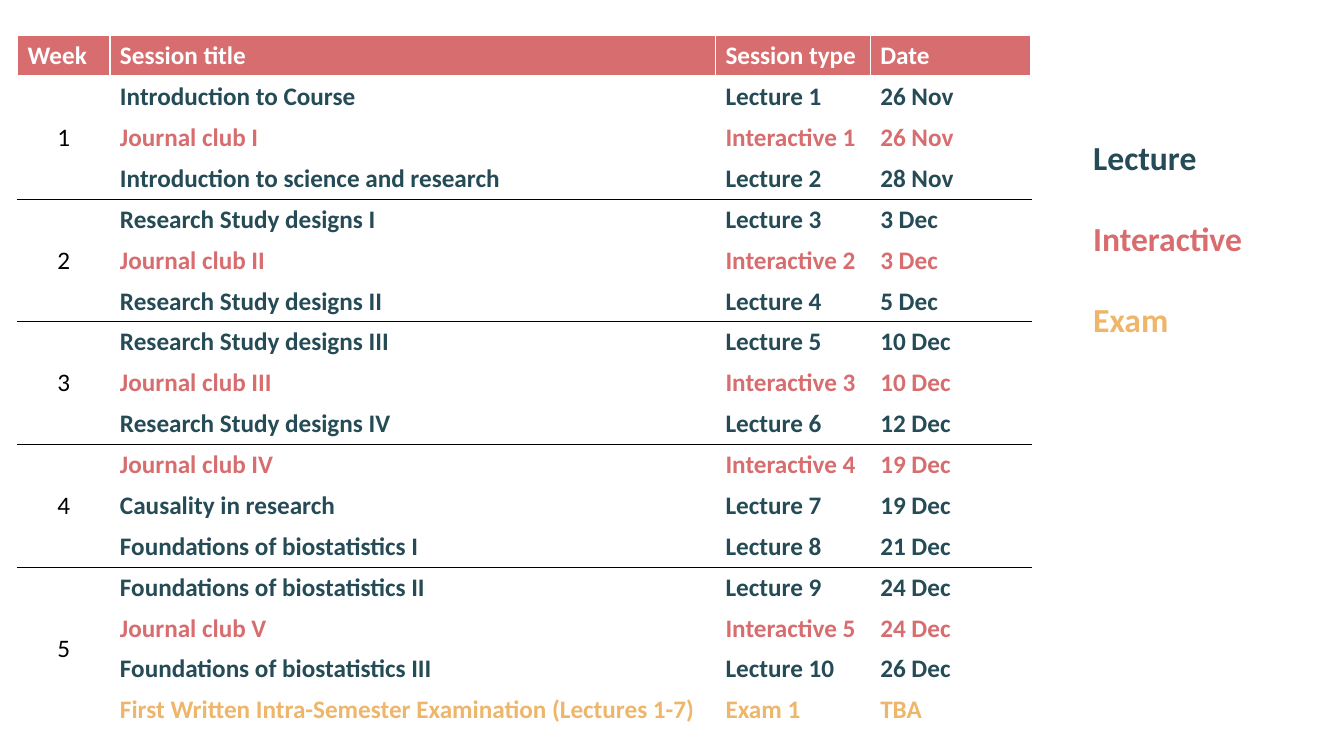
from lxml import etree
from pptx import Presentation
from pptx.dml.color import RGBColor
from pptx.enum.text import MSO_ANCHOR, PP_ALIGN
from pptx.oxml.ns import qn
from pptx.util import Cm, Pt

LEFT, CENTER = PP_ALIGN.LEFT, PP_ALIGN.CENTER
TOP, MIDDLE = MSO_ANCHOR.TOP, MSO_ANCHOR.MIDDLE

COLORS = {
    "lecture": "254B56",
    "interactive": "D76D6F",
    "exam": "EEB66B",
    "white": "FFFFFF",
    "black": "000000",
}
HEADERS = ["Week", "Session title", "Session type", "Date"]
COLUMN_WIDTHS = [2.33, 15.26, 3.9, 4.05]
ROW_HEIGHT = 1.03
WEEKS = [
    [
        ("Introduction to Course", "Lecture 1", "26 Nov"),
        ("Journal club I", "Interactive 1", "26 Nov"),
        ("Introduction to science and research", "Lecture 2", "28 Nov"),
    ],
    [
        ("Research Study designs I", "Lecture 3", "3 Dec"),
        ("Journal club II", "Interactive 2", "3 Dec"),
        ("Research Study designs II", "Lecture 4", "5 Dec"),
    ],
    [
        ("Research Study designs III", "Lecture 5", "10 Dec"),
        ("Journal club III", "Interactive 3", "10 Dec"),
        ("Research Study designs IV", "Lecture 6", "12 Dec"),
    ],
    [
        ("Journal club IV", "Interactive 4", "19 Dec"),
        ("Causality in research", "Lecture 7", "19 Dec"),
        ("Foundations of biostatistics I", "Lecture 8", "21 Dec"),
    ],
    [
        ("Foundations of biostatistics II", "Lecture 9", "24 Dec"),
        ("Journal club V", "Interactive 5", "24 Dec"),
        ("Foundations of biostatistics III", "Lecture 10", "26 Dec"),
        ("First Written Intra-Semester Examination (Lectures 1-7)", "Exam 1", "TBA"),
    ],
]


class SlideBuilder:
    font_name = "Calibri"

    def __init__(self, page):
        self.page = page

    def add_text(self, para, text, color, size=18, bold=True, **paragraph_format):
        for name, value in paragraph_format.items():
            setattr(para, name, value)
        span = para.add_run()
        span.text = text
        font_format = {"name": self.font_name, "size": Pt(size), "bold": bold}
        for name, value in font_format.items():
            setattr(span.font, name, value)
        span.font.color.rgb = RGBColor.from_string(COLORS[color])

    def borders(self, cell, top=("white", 1), bottom=("white", 1)):
        sides = {"lnL": ("white", 1), "lnR": ("white", 1), "lnT": top, "lnB": bottom}
        properties = cell._tc.get_or_add_tcPr()
        for side, (color, width) in sides.items():
            line = etree.SubElement(properties, qn(f"a:{side}"), w=str(Pt(width)))
            fill = etree.SubElement(line, qn("a:solidFill"))
            etree.SubElement(fill, qn("a:srgbClr"), val=COLORS[color])

    def cell(self, cell, text, color, bold=True, alignment=LEFT, anchor=MIDDLE):
        cell.vertical_anchor = anchor
        self.add_text(cell.text_frame.paragraphs[0], text, color,
                      bold=bold, alignment=alignment)

    def table(self, left, top, row_count):
        frame = self.page.shapes.add_table(
            row_count, len(COLUMN_WIDTHS), Cm(left), Cm(top),
            Cm(sum(COLUMN_WIDTHS)), Cm(ROW_HEIGHT * row_count))
        table = frame.table
        table.horz_banding = False
        table.first_row = False
        for column, width in zip(table.columns, COLUMN_WIDTHS):
            column.width = Cm(width)
        for row in table.rows:
            row.height = Cm(ROW_HEIGHT)
        return table

    def schedule(self, left, top):
        table = self.table(left, top, 1 + sum(map(len, WEEKS)))
        for column, header in enumerate(HEADERS):
            cell = table.cell(0, column)
            self.borders(cell, bottom=("white", 3))
            cell.fill.solid()
            cell.fill.fore_color.rgb = RGBColor.from_string(COLORS["interactive"])
            self.cell(cell, header, "white", anchor=TOP)
        first = 1
        for week, sessions in enumerate(WEEKS, 1):
            self.week(table, first, week, sessions)
            first += len(sessions)

    def week(self, table, first, week, sessions):
        last = first + len(sessions) - 1
        above = ("white", 3) if week == 1 else ("black", 1)
        below = ("white", 1) if week == len(WEEKS) else ("black", 1)
        plain = ("white", 1)
        for row, session in enumerate(sessions, first):
            for column in range(len(HEADERS)):
                cell = table.cell(row, column)
                ends_week = row == last or (column == 0 and row == first)
                self.borders(cell, above if row == first else plain,
                             below if ends_week else plain)
                cell.fill.background()
            kind = session[1].split()[0].lower()
            for column, text in enumerate(session, 1):
                self.cell(table.cell(row, column), text, kind)
        week_cell = table.cell(first, 0)
        week_cell.merge(table.cell(last, 0))
        self.cell(week_cell, str(week), "black", bold=False, alignment=CENTER)

    def legend(self, left, top, width, height):
        box = self.page.shapes.add_textbox(Cm(left), Cm(top), Cm(width), Cm(height))
        frame = box.text_frame
        frame.word_wrap = True
        for index, label in enumerate(["Lecture", "Interactive", "Exam"]):
            para = frame.add_paragraph() if index else frame.paragraphs[0]
            self.add_text(para, label, label.lower(), size=24,
                          space_before=Pt(29 if index else 0))


deck = Presentation()
deck.slide_width, deck.slide_height = Cm(33.87), Cm(19.05)
builder = SlideBuilder(deck.slides.add_slide(deck.slide_layouts[6]))
builder.schedule(0.44, 0.9)
builder.legend(27.3, 3.33, 5.74, 5.38)
deck.save("out.pptx")
